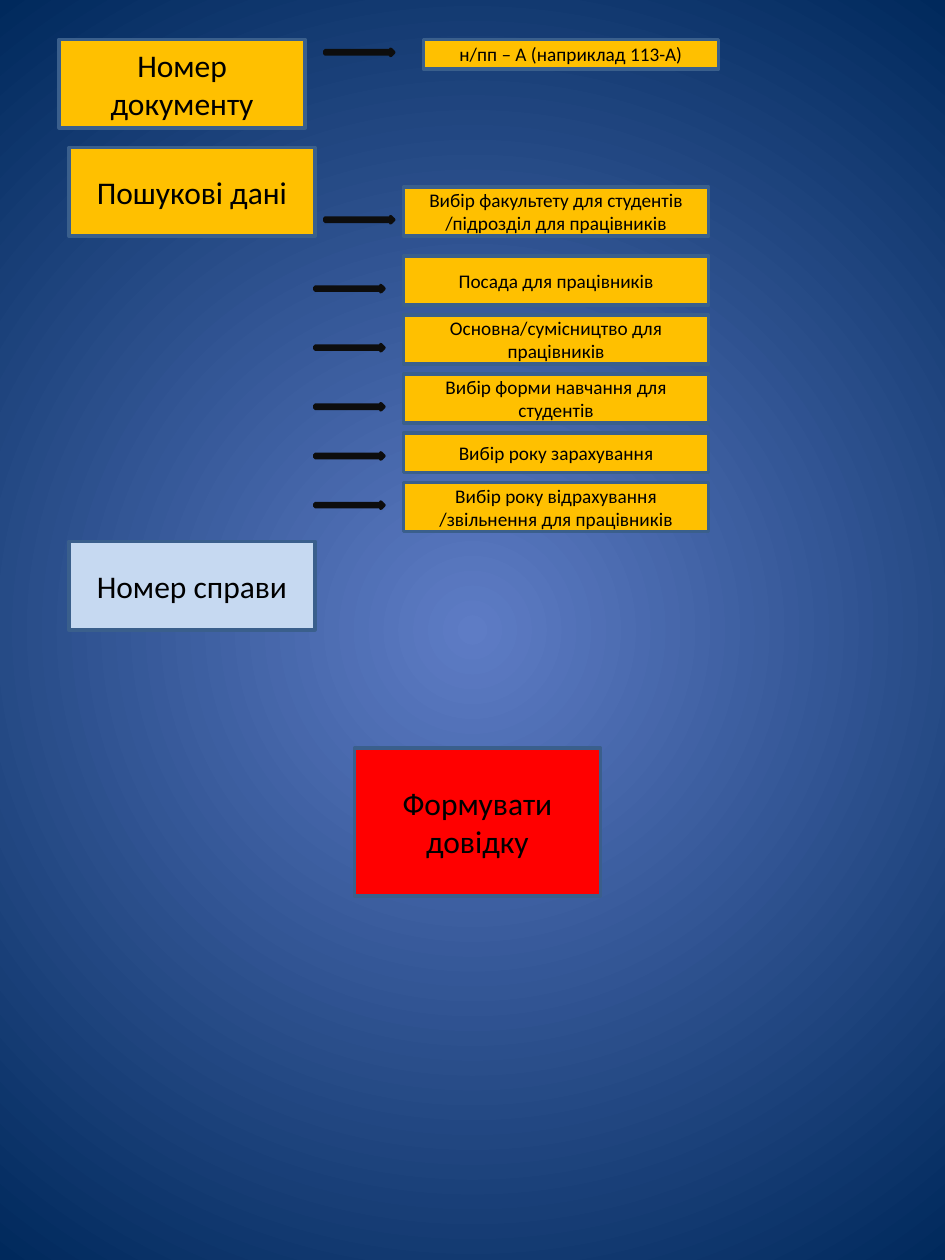
import pptx
import pptx.dml.color
import pptx.enum.shapes
import pptx.enum.text
import pptx.oxml
import pptx.oxml.ns
import pptx.util

Pt = pptx.util.Pt
RGB = pptx.dml.color.RGBColor
KIND = pptx.enum.shapes.MSO_SHAPE

GOLD = RGB(0xFF, 0xC0, 0x00)
PALE = RGB(0xC6, 0xD9, 0xF1)
RED = RGB(0xFF, 0x00, 0x00)
EDGE = RGB(0x3A, 0x5F, 0x8C)
INK = RGB(0x0D, 0x0D, 0x0D)
BLACK = RGB(0x00, 0x00, 0x00)
GLOW = RGB(0x5E, 0x7C, 0xC5)
NAVY = RGB(0x00, 0x29, 0x5C)

WIDE, HIGH = 540, 720
GRID = WIDE / 96  # all places below count in grid steps

# left, top, width, height, fill, text
HEADS = [
    (6, 4, 25, 9, GOLD, "Номер документу"),
    (7, 15, 25, 9, GOLD, "Пошукові дані"),
    (7, 55, 25, 9, PALE, "Номер справи"),
    (36, 76, 25, 15, RED, "Формувати довідку"),
]

# top, height, arrow left, arrow drop, text
FIELDS = [
    (19, 5, 33, 3, "Вибір факультету для студентів /підрозділ для працівників"),
    (26, 5, 32, 3, "Посада для працівників"),
    (32, 5, 32, 3, "Основна/сумісництво для працівників"),
    (38, 5, 32, 3, "Вибір форми навчання для студентів"),
    (44, 4, 32, 2, "Вибір року зарахування"),
    (49, 5, 32, 2, "Вибір року відрахування /звільнення для працівників"),
]


class Board:
    font = {"name": "Calibri", "bold": False}
    frame = {"word_wrap": True, "vertical_anchor": pptx.enum.text.MSO_ANCHOR.MIDDLE}

    def __init__(self, slide):
        self.slide = slide

    def glow(self, inner, outer):
        """Fill the background with a gradient that spreads from the centre."""
        fill = self.slide.background.fill
        fill.gradient()
        for stop, tint in zip(fill.gradient_stops, (inner, outer)):
            stop.color.rgb = tint
        qn = pptx.oxml.ns.qn
        grad = next(self.slide.element.iter(qn("a:gradFill")))
        line = grad.find(qn("a:lin"))
        spread = pptx.oxml.parse_xml(
            f'<a:path {pptx.oxml.ns.nsdecls("a")} path="circle">'
            '<a:fillToRect l="50000" t="50000" r="50000" b="50000"/></a:path>'
        )
        grad.replace(line, spread)

    def shape(self, kind, left, top, wide, high, fill, edge):
        place = [Pt(n * GRID) for n in (left, top, wide, high)]
        item = self.slide.shapes.add_shape(kind, *place)
        item.shadow.inherit = False
        item.fill.solid()
        item.fill.fore_color.rgb = fill
        item.line.color.rgb = edge
        item.line.width = Pt(2)
        return item

    def box(self, left, top, wide, high, fill, text, size):
        item = self.shape(KIND.RECTANGLE, left, top, wide, high, fill, EDGE)
        frame = item.text_frame
        for key, value in self.frame.items():
            setattr(frame, key, value)
        para = frame.paragraphs[0]
        para.alignment = pptx.enum.text.PP_ALIGN.CENTER
        run = para.add_run()
        run.text = text
        for key, value in {**self.font, "size": Pt(size)}.items():
            setattr(run.font, key, value)
        run.font.color.rgb = BLACK

    def arrow(self, left, top):
        self.shape(KIND.RIGHT_ARROW, left, top, 7, 0.64, INK, INK)


def main():
    deck = pptx.Presentation()
    deck.slide_width, deck.slide_height = Pt(WIDE), Pt(HIGH)
    board = Board(deck.slides.add_slide(deck.slide_layouts[6]))
    board.glow(GLOW, NAVY)

    for *place, fill, text in HEADS:
        board.box(*place, fill, text, 18)

    board.arrow(33, 5)
    board.box(43, 4, 30, 3, GOLD, "н/пп – А (наприклад 113-А)", 11)

    for top, high, left, drop, text in FIELDS:
        board.arrow(left, top + drop)
        board.box(41, top, 31, high, GOLD, text, 11)

    deck.save("out.pptx")


if __name__ == "__main__":
    main()
